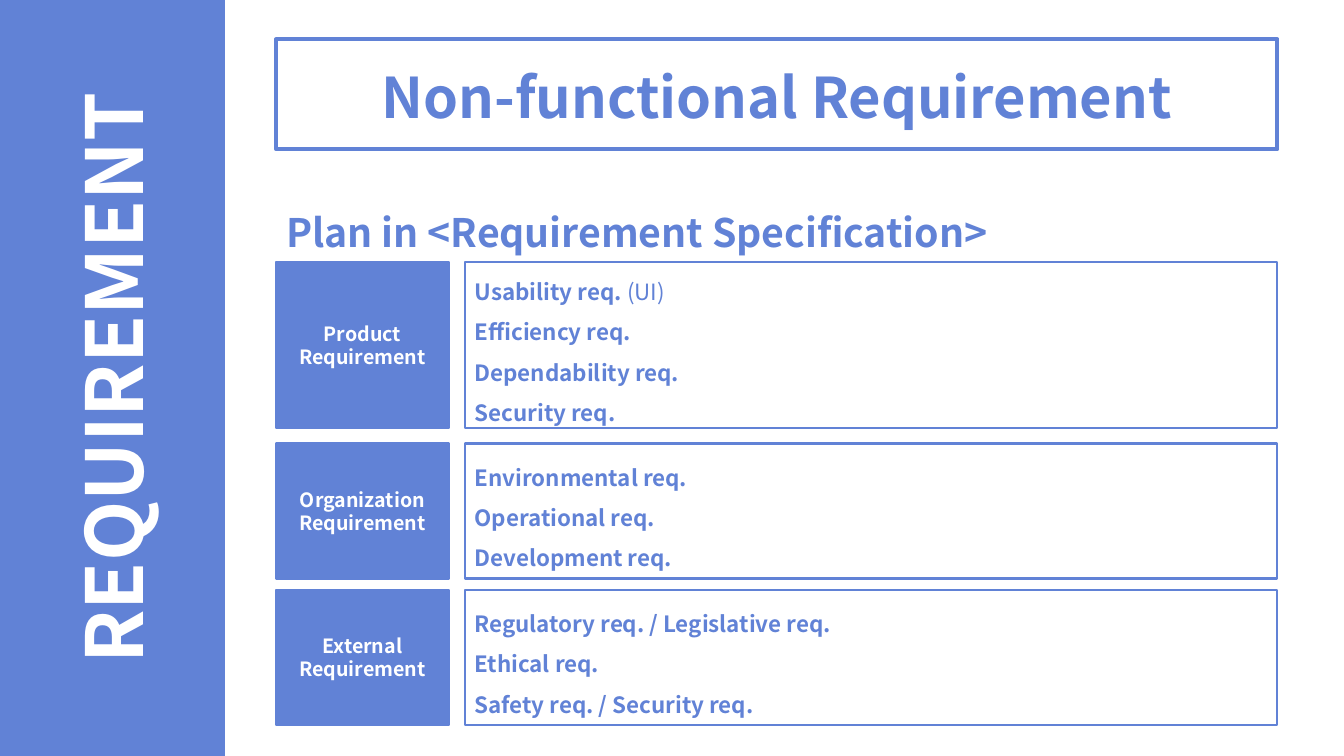
from pptx import Presentation
from pptx.dml.color import RGBColor
from pptx.enum import shapes, text
from pptx.util import Inches, Pt

COLORS = {"blue": "6182D6", "white": "FFFFFF"}
FONT = "Noto Sans CJK KR"
LEFT, WIDTH = 2.74, 9.93
LABEL_WIDTH, GAP = 1.71, 0.16

# top, height, label, items as (bold text, plain text)
REQUIREMENTS = [
    (2.6, 1.65, "Product Requirement",
     [("Usability req. ", "(UI)"), ("Efficiency req.", ""),
      ("Dependability req.", ""), ("Security req.", "")]),
    (4.4, 1.34, "Organization Requirement",
     [("Environmental req.", ""), ("Operational req.", ""),
      ("Development req.", "")]),
    (5.85, 1.34, "External Requirement",
     [("Regulatory req. / Legislative req.", ""), ("Ethical req.", ""),
      ("Safety req. / Security req.", "")]),
]


def rgb(name):
    return RGBColor.from_string(COLORS[name])


def style(p, size, color, align=text.PP_ALIGN.LEFT):
    p.alignment = align
    p.font.name = FONT
    p.font.size = Pt(size)
    p.font.bold = True
    p.font.color.rgb = rgb(color)


def add_box(parent, box, fill=None, line_width=1.5):
    sp = parent.add_shape(shapes.MSO_SHAPE.RECTANGLE, *map(Inches, box))
    sp.shadow.inherit = False
    if fill:
        sp.fill.solid()
        sp.fill.fore_color.rgb = rgb(fill)
    else:
        sp.fill.background()
    sp.line.color.rgb = rgb("blue")
    sp.line.width = Pt(line_width)
    sp.text_frame.word_wrap = True
    sp.text_frame.vertical_anchor = text.MSO_ANCHOR.MIDDLE
    return sp


def add_text(slide, box, content, size, align):
    sp = slide.shapes.add_textbox(*map(Inches, box))
    sp.text_frame.word_wrap = True
    p = sp.text_frame.paragraphs[0]
    p.text = content
    style(p, size, "blue", align)
    return p


def add_sidebar(slide, width, height):
    """Fill the left band and turn the title upwards along it."""
    band = add_box(slide.shapes, (0, 0, width, height), "blue")
    title = slide.shapes.title
    title.element.addprevious(band.element)
    title.left, title.top = Inches((width - height) / 2), Inches((height - width) / 2)
    title.width, title.height = Inches(height), Inches(width)
    title.rotation = 270
    tf = title.text_frame
    tf.text = "REQUIREMENT"
    tf.auto_size = text.MSO_AUTO_SIZE.NONE
    tf.vertical_anchor = text.MSO_ANCHOR.MIDDLE
    style(tf.paragraphs[0], 56, "white", text.PP_ALIGN.CENTER)


def add_header(slide, left, width):
    add_box(slide.shapes, (left, 0.39, width, 1.09), line_width=3)
    heading = add_text(slide, (left, 1.78, width, 0.87),
                       "Plan in <Requirement Specification>", 28, text.PP_ALIGN.LEFT)
    heading.line_spacing = 1.5
    heading.space_before = Pt(5.6)
    add_text(slide, (left, 0.57, width, 0.76),
             "Non-functional Requirement", 40, text.PP_ALIGN.CENTER)


def add_requirement(slide, box, label, items):
    left, top, width, height = box
    group = slide.shapes.add_group_shape().shapes
    sp = add_box(group, (left, top, LABEL_WIDTH, height), "blue")
    sp.text_frame.text = label
    style(sp.text_frame.paragraphs[0], 14, "white", text.PP_ALIGN.CENTER)

    offset = LABEL_WIDTH + GAP
    sp = add_box(group, (left + offset, top, width - offset, height), "white")
    tf = sp.text_frame
    for i, (strong, plain) in enumerate(items):
        p = tf.add_paragraph() if i else tf.paragraphs[0]
        style(p, 16, "blue")
        p.line_spacing = 1.5
        p.add_run().text = strong
        if plain:
            r = p.add_run()
            r.text = plain
            r.font.bold = False


def main():
    prs = Presentation()
    prs.slide_width, prs.slide_height = Inches(13.33), Inches(7.5)
    slide = prs.slides.add_slide(prs.slide_layouts[5])
    add_sidebar(slide, 2.22, 7.5)
    add_header(slide, LEFT, WIDTH)
    for top, height, label, items in REQUIREMENTS:
        add_requirement(slide, (LEFT, top, WIDTH, height), label, items)
    prs.save("out.pptx")


if __name__ == "__main__":
    main()
